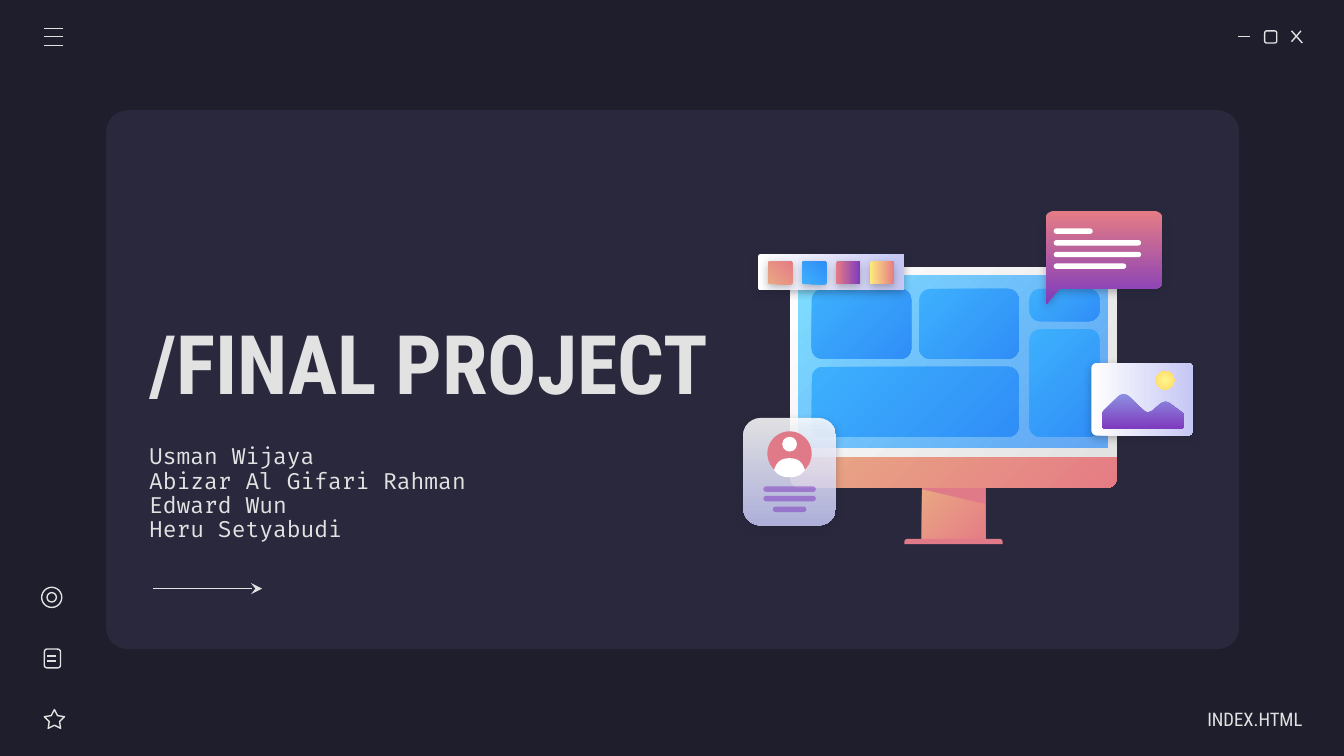
from math import dist

from lxml.etree import SubElement
from pptx import Presentation
from pptx.dml.color import RGBColor
from pptx.enum.shapes import MSO_CONNECTOR, MSO_SHAPE
from pptx.enum.text import MSO_ANCHOR, MSO_AUTO_SIZE, PP_ALIGN
from pptx.oxml.ns import qn
from pptx.util import Emu, Inches, Pt

# The grid: 1000 columns over the slide's width, square cells
WIDE, HIGH = Inches(10), Inches(5.625)
CELL = WIDE // 1000

HEX = {
    "night": "1E1E2C", "card": "29283D", "pale": "E2E2E2", "white": "FFFFFF",
    "peach": "E9A984", "coral": "E57C85", "rose": "E07A88", "plum": "7E3BBE",
    "lilac": "C5C7F4", "iris": "8D90E1", "sky": "80DFFF", "azure": "318FFA",
    "blue": "3DB0FD", "deep": "308EF7", "lemon": "FFF68E", "gold": "FFD966",
    "amber": "FFEA7D",
}
WARM, COOL, GLASS = ("peach", "coral"), ("blue", "deep"), ("white", "lilac")
DUSK = ("coral", "plum")
RECT, ROUND, OVAL = MSO_SHAPE.RECTANGLE, MSO_SHAPE.ROUNDED_RECTANGLE, MSO_SHAPE.OVAL
CAP = MSO_SHAPE.ROUND_2_SAME_RECTANGLE


def rgb(name):
    return RGBColor.from_string(HEX[name])


def cells(*vals):
    return [Emu(round(v * CELL)) for v in vals]


def paint(item, fill=None, ang=45, alpha=(), line=None, glow=False):
    """Fill (one name or a pair for a gradient), outline and shadow."""
    if fill is None:
        item.fill.background()
    elif isinstance(fill, str):
        item.fill.solid()
        item.fill.fore_color.rgb = rgb(fill)
    else:
        item.fill.gradient()
        item.fill.gradient_angle = (360 - ang) % 360
        for stop, name, pos in zip(item.fill.gradient_stops, fill, (0, 1)):
            stop.color.rgb = rgb(name)
            stop.position = pos
    props = item.element.spPr
    for tint, part in zip(list(props.iter(qn("a:srgbClr"))), alpha):
        SubElement(tint, qn("a:alpha"), val=str(part * 1000))
    if line:
        item.line.color.rgb = rgb(line)
        item.line.width = Pt(0.75)
    else:
        item.line.fill.background()
    item.shadow.inherit = False
    if glow:
        drop = SubElement(props.find(qn("a:effectLst")), qn("a:outerShdw"),
                          blurRad=str(Pt(4.5)), dist=str(Pt(1.5)), dir="5400000",
                          algn="bl", rotWithShape="0")
        tint = SubElement(drop, qn("a:srgbClr"), val=HEX["night"])
        SubElement(tint, qn("a:alpha"), val="30000")
    return item


def shape(on, kind, x, y, w, h, adj=(), rot=0, **look):
    item = on.add_shape(kind, *cells(x, y, w, h))
    for i, val in enumerate(adj):
        item.adjustments[i] = val
    item.rotation = rot
    return paint(item, **look)


def panel(on, x, y, w, h, r, **look):
    return shape(on, ROUND, x, y, w, h, adj=[r / min(w, h)], **look)


def free(on, knots, **look):
    """Closed outline through (x, y, radius) knots with softened corners."""
    dots = []
    for i, (x, y, r) in enumerate(knots):
        if not r:
            dots.append((x, y))
            continue
        ends = []
        for px, py, _ in (knots[i - 1], knots[(i + 1) % len(knots)]):
            t = r / dist((x, y), (px, py))
            ends.append((x + (px - x) * t, y + (py - y) * t))
        (ax, ay), (bx, by) = ends
        for t in (k / 8 for k in range(9)):
            u = 1 - t
            dots.append((u * u * ax + 2 * u * t * x + t * t * bx,
                         u * u * ay + 2 * u * t * y + t * t * by))
    spots = [cells(*dot) for dot in dots]
    pen = on.build_freeform(*spots[0], scale=1.0)
    pen.add_line_segments(spots[1:], close=True)
    return paint(pen.convert_to_shape(), **look)


def rule(on, x1, y1, x2, y2, head=False):
    item = on.add_connector(MSO_CONNECTOR.STRAIGHT, *cells(x1, y1, x2, y2))
    item.line.color.rgb = rgb("pale")
    item.line.width = Pt(0.75)
    if head:
        SubElement(item.line._get_or_add_ln(), qn("a:tailEnd"), type="stealth")
    SubElement(item.element.spPr, qn("a:effectLst"))


def write(box, text, at, font, size, bold=False, align=PP_ALIGN.LEFT, gap=1.0, right=10):
    box.left, box.top, box.width, box.height = cells(*at)
    frame = box.text_frame
    frame.text = text
    frame.word_wrap = True
    frame.auto_size = MSO_AUTO_SIZE.NONE
    frame.vertical_anchor = MSO_ANCHOR.MIDDLE
    (frame.margin_left, frame.margin_top,
     frame.margin_right, frame.margin_bottom) = cells(10, 10, right, 10)
    for para in frame.paragraphs:
        para.alignment = align
        para.line_spacing = gap
        para.space_before = Pt(0)
        for run in para.runs:
            run.font.name, run.font.size, run.font.bold = font, Pt(size), bold
            run.font.color.rgb = rgb("pale")


def window(on):
    rule(on, 921, 27, 930, 27)
    shape(on, ROUND, 941, 23, 9, 9, line="pale")
    rule(on, 961, 23, 969, 32)
    rule(on, 968, 23, 961, 31)


def menu(on):
    for y in (21, 27, 34):
        rule(on, 33, y, 47, y)


def screen(on):
    # Stand and foot
    shape(on, RECT, 686, 361, 47, 43, fill=WARM)
    shape(on, CAP, 673, 401, 73, 4, adj=[0.5, 0], fill="rose")
    free(on, [(686, 361, 0), (686, 364, 0), (733, 375, 0), (733, 361, 0)], fill="rose")
    # Chin, frame and display
    shape(on, CAP, 588, 339, 243, 24, adj=[0, 0.28], fill=WARM)
    shape(on, CAP, 588, 199, 243, 141, adj=[0.05, 0], fill=("white", "pale"))
    shape(on, RECT, 594, 205, 230, 128, fill=("sky", "azure"), alpha=(100, 71))
    # Tiles
    for x, y, w, h in ((604, 215, 74, 52), (604, 273, 154, 52), (684, 215, 74, 52),
                       (766, 215, 52, 24), (766, 245, 52, 80)):
        panel(on, x, y, w, h, 8, fill=COOL)


def chat(on):
    free(on, [(778, 157, 7), (778, 227, 2), (788, 215, 0), (865, 215, 7), (865, 157, 7)],
         fill=DUSK, ang=90, glow=True)
    for i, w in enumerate((29, 65, 65, 54)):
        panel(on, 784, 170 + 8.7 * i, w, 4, 2, fill="white")


def badge(on):
    panel(on, 553, 311, 69, 80, 13, fill=GLASS, ang=90, alpha=(85, 85), glow=True)
    # Person
    shape(on, OVAL, 571, 321, 33, 33, fill="rose")
    shape(on, OVAL, 582, 325, 11, 11, fill="white")
    free(on, [(576, 350, 0), (579, 341, 8), (596, 341, 8), (599, 350, 0),
              (594, 355, 5), (581, 355, 5)], fill="white")
    # Lines of text
    for x, y, w in ((568, 362, 39), (568, 369, 39), (575, 377, 25)):
        panel(on, x, y, w, 4, 2, fill="plum", alpha=(53,))


def photo(on):
    panel(on, 823, 259, 54, 76, 4, rot=270, fill=GLASS, ang=90, glow=True)
    # Hills
    free(on, [(820, 307, 2), (836, 291, 6), (854, 308.5, 5), (867, 297.5, 5),
              (881, 308, 2), (881, 319, 3), (820, 319, 3)], fill=("iris", "plum"), ang=90)
    # Sun, lit from its centre
    sun = shape(on, OVAL, 860, 276, 14, 14, fill=("lemon", "gold"))
    grad = sun.element.spPr.find(qn("a:gradFill"))
    grad.remove(grad.find(qn("a:lin")))
    ring = SubElement(grad, qn("a:path"), path="circle")
    SubElement(ring, qn("a:fillToRect"), l="50000", t="50000", r="50000", b="50000")


def swatch(on):
    panel(on, 605, 148, 27, 109, 2, rot=270, fill=GLASS, ang=90, glow=True)
    looks = ((WARM, 45), (COOL, 45), (DUSK, 90), (("amber", "coral"), 90))
    for i, (fill, ang) in enumerate(looks):
        panel(on, 572 + 25.3 * i, 194, 17, 18, 1.2, rot=270, fill=fill, ang=ang, glow=True)


def icons(on):
    shape(on, MSO_SHAPE.STAR_5_POINT, 33, 528, 15, 14, adj=[0.254], line="pale")
    shape(on, ROUND, 33, 483, 12, 14, line="pale")
    for y in (488, 492):
        rule(on, 35, y, 42, y)
    for x, y, size in ((31, 437, 15), (35, 441, 7)):
        shape(on, OVAL, x, y, size, size, line="pale")


def main():
    deck = Presentation()
    deck.slide_width, deck.slide_height = WIDE, HIGH
    slide = deck.slides.add_slide(deck.slide_layouts[0])
    slide.background.fill.solid()
    slide.background.fill.fore_color.rgb = rgb("night")
    items = slide.shapes
    title, names = slide.placeholders

    # Card and window buttons lie behind the text
    panel(items, 79, 82, 843, 401, 16, fill="card")
    window(items.add_group_shape().shapes)
    for box in (names, title):
        box.element.getparent().append(box.element)
    write(names, "Usman Wijaya\nAbizar Al Gifari Rahman\nEdward Wun\nHeru Setyabudi",
          (101, 323, 324, 89), "Fira Code", 12, gap=0.9)
    write(title, "/FINAL PROJECT", (101, 217, 447, 104), "Roboto Condensed", 44, bold=True)

    # Artwork and icons, back to front
    for draw in (screen, chat, menu, badge, photo, swatch, icons):
        draw(items.add_group_shape().shapes)

    # Arrow and footer
    rule(items, 114, 438, 195, 438, head=True)
    write(items.add_textbox(0, 0, 0, 0), "INDEX.HTML", (852, 520, 117, 30),
          "Roboto Condensed", 10, align=PP_ALIGN.RIGHT, right=0)
    deck.save("out.pptx")


if __name__ == "__main__":
    main()
